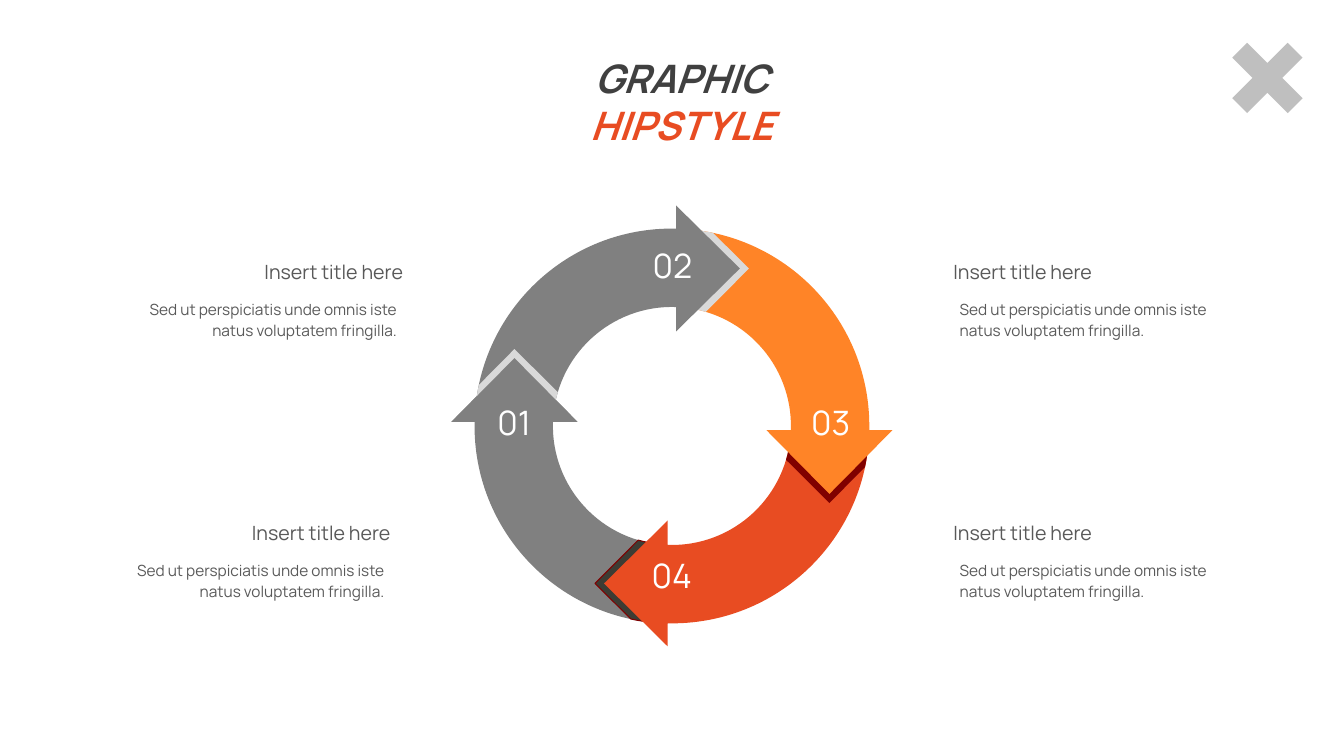
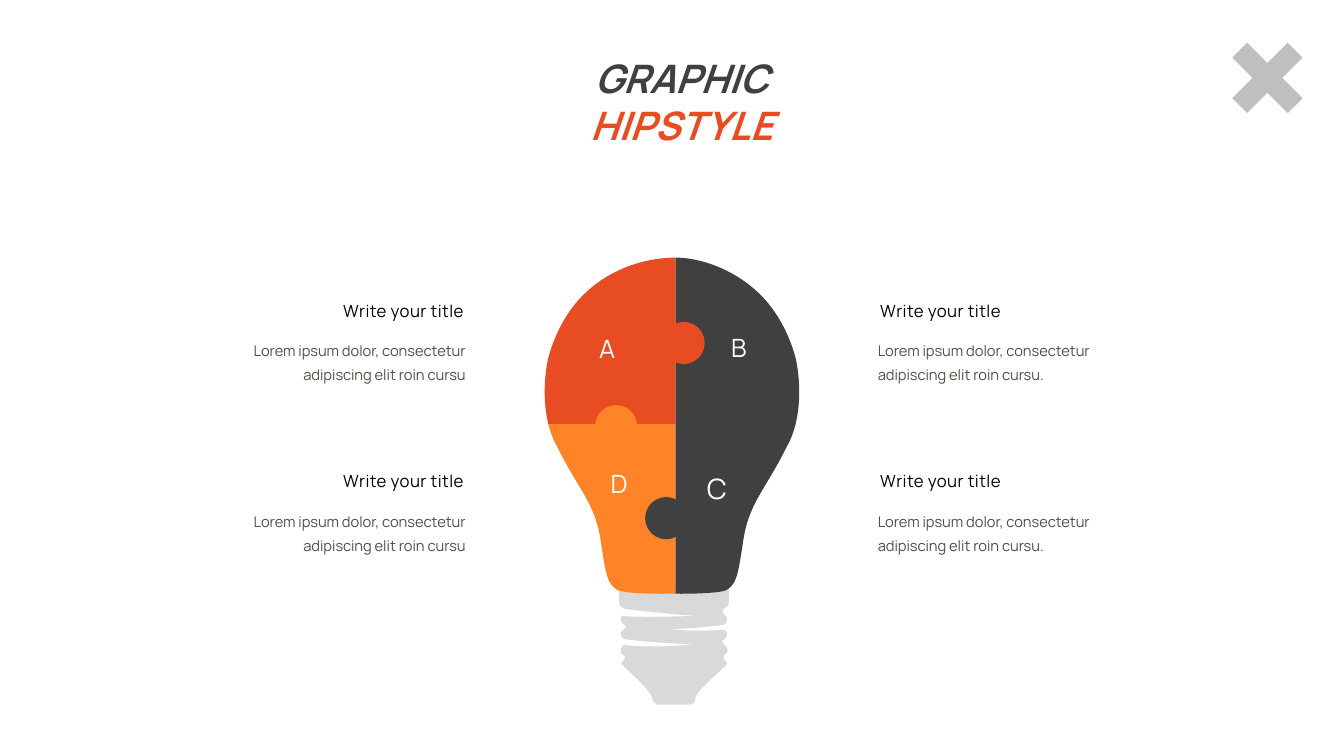
import math
from dataclasses import dataclass, field

from lxml import etree
from pptx import Presentation
from pptx import util as u
from pptx.dml.color import RGBColor
from pptx.enum import shapes, text
from pptx.oxml.ns import qn


@dataclass(frozen=True)
class Theme:
    font: str = "Manrope"
    silver: str = "BFBFBF"
    pale: str = "D9D9D9"
    gray: str = "808080"
    dark: str = "404040"
    olive: str = "3C3C34"
    red: str = "E84C22"
    orange: str = "FF8427"
    maroon: str = "800000"
    styles: dict = field(default_factory=lambda: {
        "title": dict(size=28, color="404040", bold=True, italic=True),
        "number": dict(size=24, color="FFFFFF"),
        "letter": dict(size=18, color="FFFFFF"),
        "letter_big": dict(size=20, color="FFFFFF"),
        "step_head": dict(size=14, color="595959"),
        "step_body": dict(size=11, color="595959", spacing=1.1),
        "idea_head": dict(size=12, color="000000", track=30),
        "idea_body": dict(size=10.5, color="505046", spacing=1.4),
    })


T = Theme()
LEFT, CENTER, RIGHT = text.PP_ALIGN.LEFT, text.PP_ALIGN.CENTER, text.PP_ALIGN.RIGHT


def add_text(s, box, paragraphs, style, align=LEFT, wrap=False, inset=(7.2, 3.6)):
    fmt = T.styles[style]
    tf = s.shapes.add_textbox(*map(u.Pt, box)).text_frame
    dx, dy = map(u.Pt, inset)
    frame = dict(word_wrap=wrap, auto_size=text.MSO_AUTO_SIZE.SHAPE_TO_FIT_TEXT,
                 margin_left=dx, margin_right=dx, margin_top=dy, margin_bottom=dy)
    for name, value in frame.items():
        setattr(tf, name, value)
    for i, runs in enumerate(paragraphs):
        p = tf.paragraphs[0] if i == 0 else tf.add_paragraph()
        p.alignment = align
        p.line_spacing = fmt.get("spacing")
        for words, color in runs:
            r = p.add_run()
            r.text = words
            font = dict(name=T.font, size=u.Pt(fmt["size"]), bold=fmt.get("bold"), italic=fmt.get("italic"))
            for name, value in font.items():
                setattr(r.font, name, value)
            r.font.color.rgb = RGBColor.from_string(color or fmt["color"])
            if "track" in fmt:
                r.font._element.set("spc", str(fmt["track"]))


def add_outline(s, start, steps, fill, line=None):
    fb = s.shapes.build_freeform(*map(u.Pt, start))
    fb.add_line_segments([tuple(map(u.Pt, step[-2:])) for step in steps], close=True)
    sp = fb.convert_to_shape()
    for segment, step in zip(sp._element.xpath(".//a:lnTo"), steps):
        if len(step) == 6:
            curve = etree.Element(qn("a:cubicBezTo"))
            for x, y in zip(step[::2], step[1::2]):
                pt = etree.SubElement(curve, qn("a:pt"))
                pt.set("x", str(u.Pt(x) - sp.left))
                pt.set("y", str(u.Pt(y) - sp.top))
            segment.getparent().replace(segment, curve)
    sp.shadow.inherit = False
    sp.fill.solid()
    sp.fill.fore_color.rgb = RGBColor.from_string(fill)
    if line:
        sp.line.color.rgb = RGBColor.from_string(line)
        sp.line.width = u.Pt(0.75)
    else:
        sp.line.fill.background()


prs = Presentation()
prs.slide_width, prs.slide_height = u.Pt(960), u.Pt(540)

for _ in range(2):
    s = prs.slides.add_slide(prs.slide_layouts[6])
    sp = s.shapes.add_shape(shapes.MSO_SHAPE.CROSS, *map(u.Pt, (877.3, 27.7, 56, 56)))
    sp.adjustments[0] = 0.366
    sp.rotation = 45
    sp.shadow.inherit = False
    sp.fill.solid()
    sp.fill.fore_color.rgb = RGBColor.from_string(T.silver)
    sp.line.fill.background()
    add_text(s, (351.4, 35.3, 270.7, 74.2), [[("GRAPHIC", None), (" HIPSTYLE", T.red)]], "title", CENTER, wrap=True)

cycle, bulb = prs.slides

CX, CY, OUTER, INNER, MIDDLE = 480, 304.3, 141, 85, 112.5
BASE, TIP, SHADOW_BASE, SHADOW_TIP, HALF = 3, 48.5, 9.5, 55, 45
HEAD = [(BASE, MIDDLE + HALF), (TIP, MIDDLE), (BASE, MIDDLE - HALF)]
outer_base, inner_base = (math.degrees(math.asin(BASE / radius)) for radius in (OUTER, INNER))
outer_cut, inner_cut = (math.degrees(math.asin(SHADOW_BASE / radius)) for radius in (OUTER, INNER))
arcs = []
for radius, first, last in (
    (OUTER, outer_base - 90, outer_base), (INNER, inner_base, inner_base - 90),
    (OUTER, outer_cut, 12), (INNER, 16.5, inner_cut),
):
    a, b = math.radians(first), math.radians(last)
    pull = 4 / 3 * math.tan((b - a) / 4)
    begin = (radius * math.sin(a), radius * math.cos(a))
    end = (radius * math.sin(b), radius * math.cos(b))
    curve = (begin[0] + pull * begin[1], begin[1] - pull * begin[0],
             end[0] - pull * end[1], end[1] + pull * end[0], *end)
    arcs.append([begin, curve])
outer, inner, outer_shadow, inner_shadow = arcs
body = outer + [(BASE, OUTER)] + HEAD + inner
shadow = outer_shadow + [(SHADOW_TIP, MIDDLE)] + inner_shadow

for turn, part, fill, line in (
    (3, body, T.gray, None),
    (2, shadow, T.olive, T.maroon),
    (2, body, T.red, None),
    (1, shadow, T.maroon, None),
    (1, body, T.orange, None),
    (0, shadow, T.pale, None),
    (0, body, T.gray, None),
    (3, shadow, T.pale, None),
    (3, HEAD, T.gray, None),
):
    cos, sin = ((1, 0), (0, 1), (-1, 0), (0, -1))[turn]
    placed = [
        tuple(v for x, y in zip(step[::2], step[1::2])
              for v in (CX + x * cos + y * sin, CY + x * sin - y * cos))
        for step in part
    ]
    add_outline(cycle, placed[0], placed[1:], fill, line)

for number, x, y in (("02", 458, 171.4), ("03", 571, 283.7), ("04", 457.5, 393.1), ("01", 345, 283.7)):
    add_text(cycle, (x, y, 44.6, 36), [[(number, None)]], "number", CENTER)

STEP = "Sed ut perspiciatis unde omnis iste natus voluptatem fringilla."
for x, y, body_dx, align in (
    (172.8, 182.2, -85, RIGHT), (163.8, 368.6, -85, RIGHT),
    (673.9, 182.2, 4.5, LEFT), (673.9, 368.6, 4.5, LEFT),
):
    add_text(cycle, (x, y, 122.4, 24), [[("Insert title here", None)]], "step_head", align)
    add_text(cycle, (x + body_dx, y + 27.5, 203, 36), [[(STEP, None)]], "step_body", align, wrap=True)

SCREW = [
    (520.6, 432.7, 520.6, 432, 520.6, 429.8), (520.6, 420.5), (442.1, 420.5), (442.1, 429.8),
    (442.1, 432, 442.8, 432.7, 445, 434.2), (445.7, 434.9),
    (445.7, 434.9, 488.2, 439.9, 498.2, 439.9), (498.2, 439.9, 455.8, 441.4, 444.2, 439.9),
    (442.1, 441.4, 444.2, 445.7, 445.7, 445.7), (446.4, 446.4, 448.6, 447.8, 445, 450),
    (441.4, 452.2, 444.2, 455.8, 445.7, 456.5), (445.7, 456.5, 487.4, 461.5, 499.7, 459.4),
    (499.7, 459.4, 474.5, 463.7, 445.7, 460.8), (443.5, 462.2, 442.8, 465.1, 443.5, 466.6),
    (444.2, 467.3, 445.7, 467.3, 446.4, 468.7), (446.4, 469.4, 446.4, 470.9, 445.7, 471.6),
    (443.5, 473, 442.8, 473.8, 446.4, 476.6), (450, 480.2, 465.1, 493.9, 465.8, 498.2),
    (466.6, 503.3, 470.2, 503.3, 470.2, 503.3), (492.5, 503.3),
    (492.5, 503.3, 496.8, 503.3, 496.8, 498.2), (497.5, 493.9, 513.4, 480.2, 517, 476.6),
    (520.6, 473.8, 519.1, 473, 517.7, 471.6), (517, 470.9, 516.2, 469.4, 517, 468.7),
    (517, 467.3, 518.4, 467.3, 519.1, 466.6), (520.6, 464.4, 519.1, 462.2, 517.7, 460.8),
    (514.1, 457.9, 516.2, 457.2, 517.7, 456.5), (518.4, 455.8, 521.3, 452.2, 517.7, 450),
    (488.9, 451.4, 478.8, 449.3, 478.8, 449.3), (494.6, 449.3, 516.2, 446.4, 516.2, 446.4),
    (517, 446.4, 517, 446.4, 517.7, 445.7), (518.4, 445.7, 520.6, 441.4, 518.4, 439.9),
    (515.5, 437.8, 515.5, 435.6, 517.7, 434.2),
]
add_outline(bulb, (517.7, 434.2), SCREW, T.pale)

SEAM, WAIST = 482.4, 303
DOME = [(25, 184.3, 50.4, 195.8, 67, 214.6), (77, 226, 84.2, 240.5, 88.3, 255.6),
        (88.3, 255.6, 94.2, 278.6, 88.3, WAIST)]
NECK = [(87, 308, 85, 314, 82, 319), (68, 348, 55, 359, 51, 385.5),
        (47, 412.5, 46, 416.5, 39.5, 421.2), (37, 423.4, 18.7, 424.4, 0, 424.1)]
for side, dome_fill, neck_fill in ((1, T.dark, T.dark), (-1, T.red, T.orange)):
    dome, neck = [
        [tuple(CX + side * v if i % 2 == 0 else v for i, v in enumerate(step)) for step in half]
        for half in (DOME, NECK)
    ]
    add_outline(bulb, (SEAM, 184), dome + [(SEAM, WAIST)], dome_fill)
    add_outline(bulb, (SEAM, WAIST), [(CX + side * 88.3, WAIST)] + neck + [(SEAM, 424.1)], neck_fill)

for x, y, fill in ((425, 289.4, T.orange), (473.2, 229.9, T.red), (508.3, 294.5, T.dark), (460.8, 355, T.dark)):
    sp = bulb.shapes.add_shape(shapes.MSO_SHAPE.OVAL, *map(u.Pt, (x, y, 30.2, 30.2)))
    sp.shadow.inherit = False
    sp.fill.solid()
    sp.fill.fore_color.rgb = RGBColor.from_string(fill)
    sp.line.fill.background()

for letter, x, y, width, height, style in (
    ("A", 407, 238.3, 53.3, 21.6, "letter"), ("B", 501.1, 237.3, 53.3, 21.6, "letter"),
    ("D", 415.6, 334.8, 53.3, 21.6, "letter"), ("C", 480.8, 337, 62.6, 24, "letter_big"),
):
    add_text(bulb, (x, y, width, height), [[(letter, None)]], style, CENTER, wrap=True, inset=(0, 0))

for head_x, body_x, width, align, ending in (
    (621.6, 619.9, 183.6, LEFT, "adipiscing elit roin cursu."),
    (229.7, 159.1, 180.7, RIGHT, "adipiscing elit roin cursu"),
):
    for y in (211, 333):
        add_text(bulb, (head_x, y, 108.7, 21.6), [[("Write your title", None)]], "idea_head", align)
        add_text(bulb, (body_x, y + 24.4, width, 42.5),
                 [[("Lorem ipsum dolor, consectetur", None)], [(ending, None)]], "idea_body", align)

prs.save("out.pptx")
